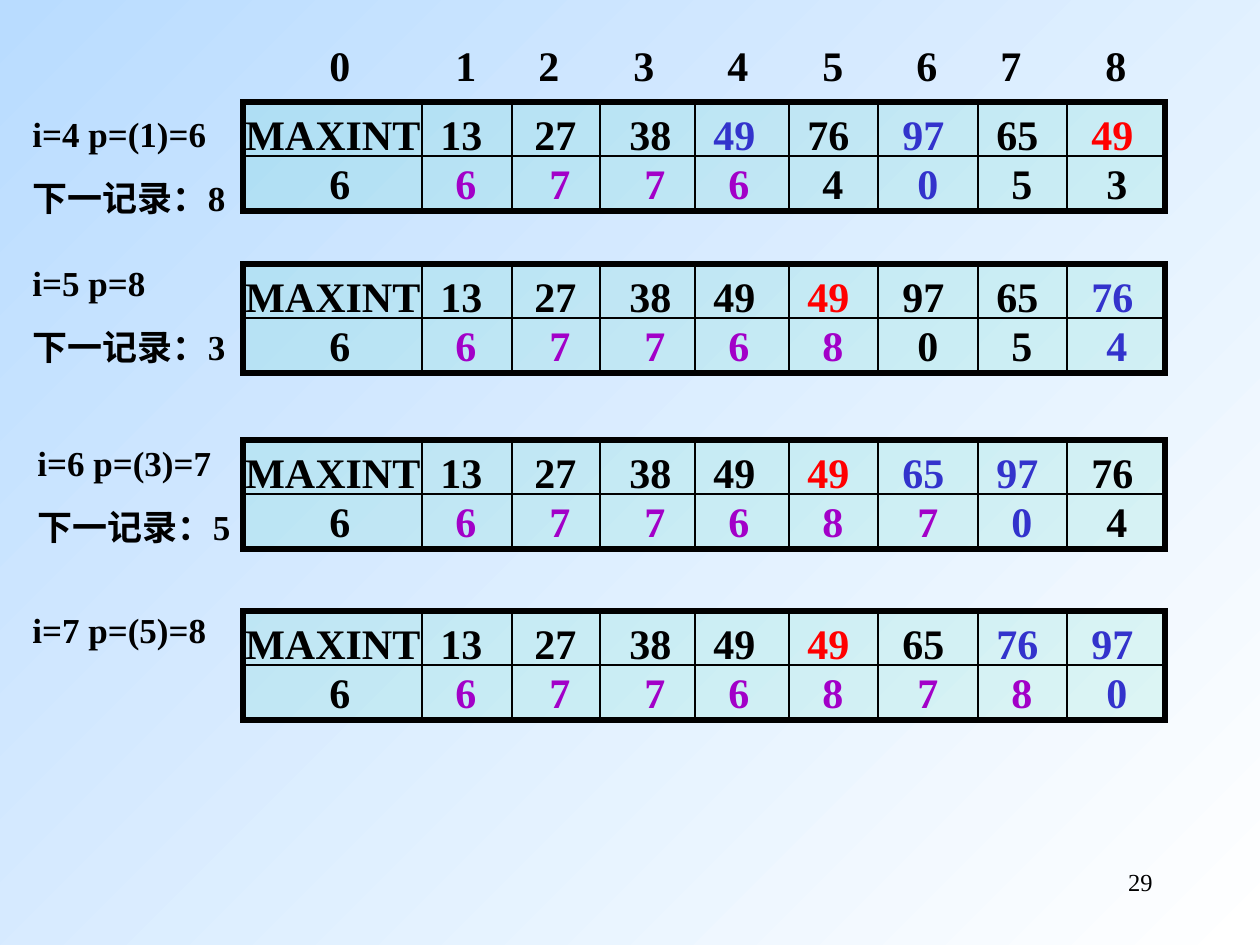
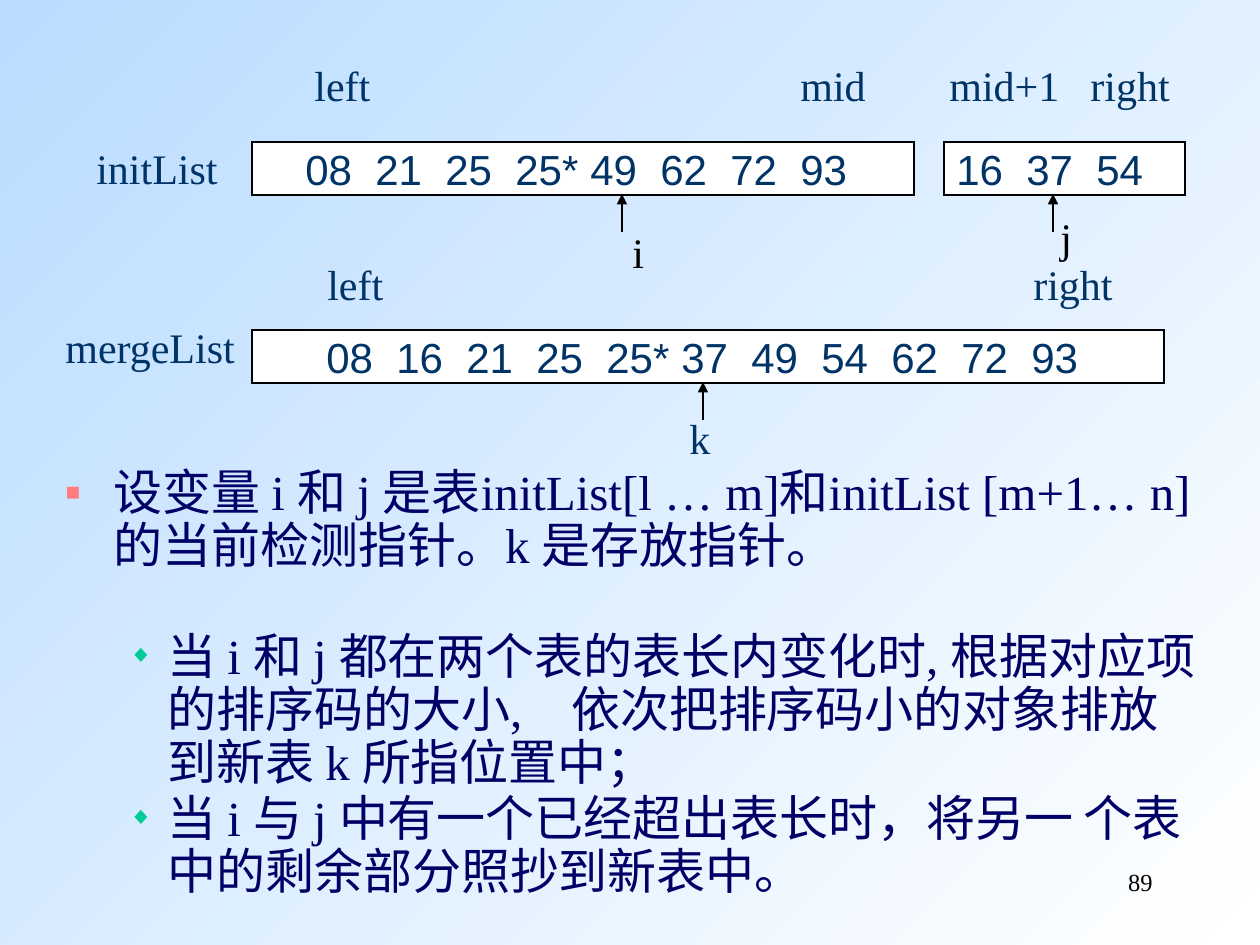
"""Build two slides on list merge sort: linked tables and merge pointers."""
from lxml import etree
from pptx import Presentation
from pptx.dml.color import RGBColor
from pptx.enum.shapes import MSO_CONNECTOR, MSO_SHAPE
from pptx.enum.text import MSO_ANCHOR, MSO_AUTO_SIZE, PP_ALIGN
from pptx.oxml.ns import qn
from pptx.util import Pt

LEFT, RIGHT = PP_ALIGN.LEFT, PP_ALIGN.RIGHT
TOP, MIDDLE = MSO_ANCHOR.TOP, MSO_ANCHOR.MIDDLE
RECT, LINE = MSO_SHAPE.RECTANGLE, MSO_CONNECTOR.STRAIGHT
FIXED = MSO_AUTO_SIZE.NONE
SERIF, SANS = "Times New Roman", "Arial"
SCALE = 914400 / 126
PAD = 13

HUES = {
    "sky": "B9DCFF", "white": "FFFFFF", "black": "000000", "blue": "3333CC",
    "red": "FF0000", "purple": "A200C8", "teal": "003366", "navy": "000066",
    "green": "00CC99", "pink": "FF7C80",
}
MARKS = {"k": "black", "b": "blue", "r": "red", "p": "purple"}

INDEX = "0 1 2 3 4 5 6 7 8"
STEPS = [
    {"top": 102, "note": (20, 106), "label": ["i=4 p=(1)=6", "下一记录：8"],
     "keys": ("MAXINT 13 27 38 49 76 97 65 49", "kkkkbkbkr"),
     "links": ("6 6 7 7 6 4 0 5 3", "kppppkbkk")},
    {"top": 264, "note": (20, 255), "label": ["i=5 p=8", "下一记录：3"],
     "keys": ("MAXINT 13 27 38 49 49 97 65 76", "kkkkkrkkb"),
     "links": ("6 6 7 7 6 8 0 5 4", "kpppppkkb")},
    {"top": 440, "note": (25, 435), "label": ["i=6 p=(3)=7", "下一记录：5"],
     "keys": ("MAXINT 13 27 38 49 49 65 97 76", "kkkkkrbbk"),
     "links": ("6 6 7 7 6 8 7 0 4", "kppppppbk")},
    {"top": 611, "note": (20, 602), "label": ["i=7 p=(5)=8"],
     "keys": ("MAXINT 13 27 38 49 49 65 76 97", "kkkkkrkbb"),
     "links": ("6 6 7 7 6 8 7 8 0", "kpppppppb")},
]
HEAD_X = [330, 456, 539, 634, 728, 823, 917, 1001, 1106]
KEY_X = [246, 441, 535, 630, 714, 808, 903, 997, 1092]
LINK_X = [330, 456, 550, 645, 729, 823, 918, 1012, 1107]
RULES = [422, 512, 600, 695, 789, 878, 978, 1067]

LISTS = [
    ("08 21 25 25* 49 62 72 93", (252, 142, 662, 53), 306),
    ("16 37 54", (944, 142, 241, 53), 957),
    ("08 16 21 25 25* 37 49 54 62 72 93", (252, 330, 912, 53), 327),
]
ENDS = [
    ("left mid mid+1 right", (302, 53, 926, 63), [315, 801, 950, 1091]),
    ("left right", (315, 252, 834, 63), [327, 1034]),
]
NAMES = [
    ("initList", (84, 136, 152, 63), "teal"),
    ("mergeList", (53, 315, 198, 63), "teal"),
    ("k", (677, 406, 45, 63), "teal"),
    ("i", (620, 220, 40, 63), "black"),
    ("j", (1048, 205, 40, 63), "black"),
]
ARROWS = [(622, 194), (1053, 194), (703, 382)]
POINTS = [
    (0, "设变量 i 和 j 是表initList[l … m]和initList [m+1… n]的当前检测指针。k 是存放指针。", 0),
    (1, "当 i 和 j 都在两个表的表长内变化时, 根据对应项的排序码的大小,　依次把排序码小的对象排放到新表 k 所指位置中；", 33),
    (1, "当 i 与 j 中有一个已经超出表长时，将另一 个表中的剩余部分照抄到新表中。", 1.8),
]
BULLETS = [("■", "pink", 48, -48), ("◆", "green", 102, -39)]


def px(num):
    return round(num * SCALE)


def rgb(hue):
    return RGBColor.from_string(HUES[hue])


def sub(node, tag, **attrs):
    return etree.SubElement(node, qn(tag), {k: str(v) for k, v in attrs.items()})


def write(shape, paras, size=24, font=SERIF, bold=False, align=LEFT,
          gap=0, wrap=True, anchor=TOP, tabs=()):
    """Fill a shape with paragraphs, each a list of (text, hue) runs."""
    frame = shape.text_frame
    frame.word_wrap, frame.vertical_anchor = wrap, anchor
    for n, runs in enumerate(paras):
        para = frame.add_paragraph() if n else frame.paragraphs[0]
        para.alignment = align
        if n and gap:
            para.space_before = Pt(gap)
        if tabs:
            stops = sub(para._p.get_or_add_pPr(), "a:tabLst")
            for pos in tabs:
                sub(stops, "a:tab", pos=px(pos), algn="l")
        for words, hue in runs:
            run = para.add_run()
            run.text = words
            run.font.size, run.font.name, run.font.bold = Pt(size), font, bold
            run.font.color.rgb = rgb(hue)
    return frame


def text(slide, area, paras, **style):
    write(slide.shapes.add_textbox(*map(px, area)), paras, **style)


def row(shape, left, words, stops, hues, **style):
    """Set words at tab stops, given as distances from the slide edge."""
    tabs = [x - left - PAD for x in stops]
    lead = tabs[0] > 2
    runs = [("\t" * (n > 0 or lead) + word, hue)
            for n, (word, hue) in enumerate(zip(words.split(), hues))]
    write(shape, [runs], tabs=tabs if lead else tabs[1:], **style)


def band(slide, y, words, stops, marks):
    area = (233, y, 942, 63)
    box = slide.shapes.add_textbox(*map(px, area))
    row(box, 233, words, stops, [MARKS[m] for m in marks], bold=True)


def rect(slide, area, hue, width):
    shape = slide.shapes.add_shape(RECT, *map(px, area))
    shape.shadow.inherit = False
    shape.fill.solid()
    shape.fill.fore_color.rgb = rgb(hue)
    shape.line.color.rgb = rgb("black")
    shape.line.width = Pt(width)
    sub(shape.line._get_or_add_ln(), "a:miter", lim=800000)
    return shape


def line(slide, ends, width=0.75, arrow=False):
    link = slide.shapes.add_connector(LINE, *map(px, ends))
    link.line.color.rgb = rgb("black")
    link.line.width = Pt(width)
    if arrow:
        sub(link.line._get_or_add_ln(), "a:tailEnd", type="triangle")
    sub(link._element.spPr, "a:effectLst")


def page(slide, num):
    text(slide, (903, 861, 262, 63), [[(num, "black")]], size=14, align=RIGHT)


def grid(slide, step):
    top = step["top"]
    box = rect(slide, (243, top, 922, 109), "green", 3)
    tint = box.fill._xPr.find(qn("a:solidFill"))[0]
    sub(tint, "a:alpha", val=10000)
    line(slide, (241, top + 54, 1168, top + 54))
    for x in RULES:
        line(slide, (x, top, x, top + 109))
    band(slide, top, step["keys"][0], KEY_X, step["keys"][1])
    band(slide, top + 49, step["links"][0], LINK_X, step["links"][1])
    text(slide, (*step["note"], 233, 118),
         [[(part, "black")] for part in step["label"]],
         size=20, bold=True, gap=12.5)


def array(slide, words, area, start):
    items = words.split()
    star = items.index("25*") if "25*" in items else len(items)
    stops = [start + 70 * n + 5 * (n > star) for n in range(len(items))]
    row(rect(slide, area, "white", 0.75), area[0], words, stops,
        ["teal"] * len(items), font=SANS, anchor=MIDDLE)


def body(slide):
    shape = slide.placeholders[1]
    shape.left, shape.top, shape.width, shape.height = map(px, (53, 462, 1166, 451))
    frame = write(shape, [[(words, "navy")] for _, words, _ in POINTS], size=28)
    frame.auto_size = FIXED
    for para, (level, _, gap) in zip(frame.paragraphs, POINTS):
        sign, hue, left, hang = BULLETS[level]
        para.level, para.line_spacing = level, 0.9
        para.space_before = Pt(gap)
        props = para._p.get_or_add_pPr()
        props.set("marL", str(px(left)))
        props.set("indent", str(px(hang)))
        sub(sub(props, "a:buClr"), "a:srgbClr", val=HUES[hue])
        sub(props, "a:buSzPct", val=50000)
        sub(props, "a:buChar", char=sign)


def main():
    deck = Presentation()
    deck.slide_width, deck.slide_height = px(1260), px(945)
    fill = deck.slide_master.background.fill
    fill.gradient()
    fill.gradient_angle = 315
    for stop, hue in zip(fill.gradient_stops, ("sky", "white")):
        stop.color.rgb = rgb(hue)

    trace = deck.slides.add_slide(deck.slide_layouts[6])
    page(trace, "29")
    band(trace, 33, INDEX, HEAD_X, "k" * 9)
    for step in STEPS:
        grid(trace, step)

    merge = deck.slides.add_slide(deck.slide_layouts[1])
    title = merge.shapes.title._element
    title.getparent().remove(title)
    page(merge, "89")
    for item in LISTS:
        array(merge, *item)
    for words, area, stops in ENDS:
        box = merge.shapes.add_textbox(*map(px, area))
        row(box, area[0], words, stops, ["teal"] * len(stops))
    for x, y in ARROWS:
        line(merge, (x, y + 38, x, y), 1.5, arrow=True)
    for name, area, hue in NAMES:
        text(merge, area, [[(name, hue)]], wrap=False)
    body(merge)
    deck.save("out.pptx")


if __name__ == "__main__":
    main()
